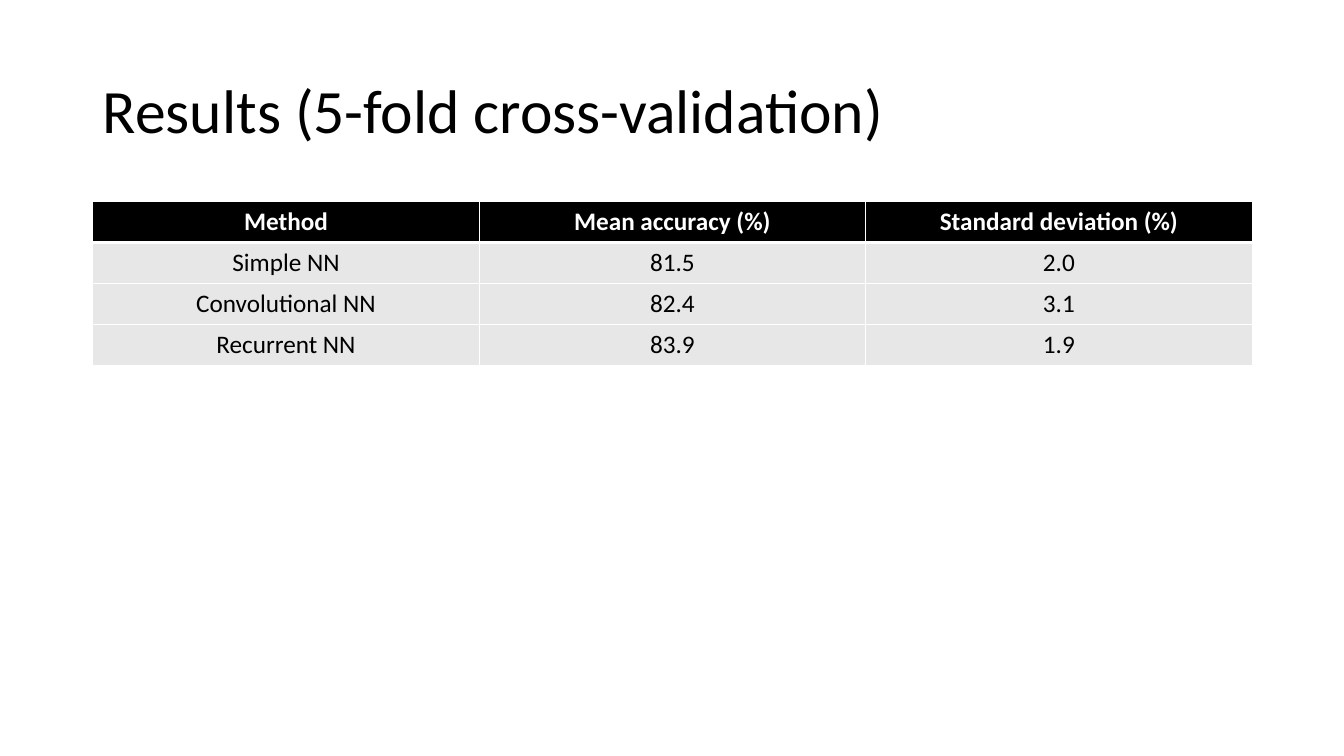
from lxml.etree import SubElement
from pptx import Presentation
from pptx.dml.color import RGBColor
from pptx.enum.text import MSO_ANCHOR, MSO_AUTO_SIZE, PP_ALIGN
from pptx.oxml.ns import qn
from pptx.util import Inches, Pt

TITLE = "Results (5-fold cross-validation)"
RESULTS = [
    ("Method", "Mean accuracy (%)", "Standard deviation (%)"),
    ("Simple NN", "81.5", "2.0"),
    ("Convolutional NN", "82.4", "3.1"),
    ("Recurrent NN", "83.9", "1.9"),
]
COLORS = {"text": "000000", "header": "000000", "header_text": "FFFFFF",
          "body": "E7E7E7", "border": "FFFFFF"}
FONT = "Calibri"
LEFT, WIDTH = 0.92, 11.5
TITLE_TOP, TITLE_HEIGHT = 0.4, 1.45
TABLE_TOP, TABLE_HEIGHT = 2, 1.62


def format_font(font, color, **values):
    font.name = FONT
    font.color.rgb = RGBColor.from_string(COLORS[color])
    for name, value in values.items():
        setattr(font, name, value)


def add_borders(cell, widths):
    """Draw the cell's edges; widths maps L, R, T, B to points, in that order."""
    tcPr = cell._tc.get_or_add_tcPr()
    for side, width in widths.items():
        ln = SubElement(tcPr, qn(f"a:ln{side}"), w=str(Pt(width)))
        fill = SubElement(ln, qn("a:solidFill"))
        SubElement(fill, qn("a:srgbClr"), val=COLORS["border"])


def add_title(slide):
    title = slide.shapes.title
    title.left, title.top = Inches(LEFT), Inches(TITLE_TOP)
    title.width, title.height = Inches(WIDTH), Inches(TITLE_HEIGHT)
    tf = title.text_frame
    tf.text = TITLE
    tf.auto_size = MSO_AUTO_SIZE.NONE
    tf.vertical_anchor = MSO_ANCHOR.MIDDLE
    p = tf.paragraphs[0]
    p.alignment = PP_ALIGN.LEFT
    p.line_spacing = 0.9
    format_font(p.runs[0].font, "text", size=Pt(44))


def add_results(slide):
    table = slide.shapes.add_table(
        len(RESULTS), len(RESULTS[0]), Inches(LEFT), Inches(TABLE_TOP),
        Inches(WIDTH), Inches(TABLE_HEIGHT)).table
    for i, row in enumerate(RESULTS):
        header = i == 0
        widths = {"L": 1, "R": 1, "T": 3 if i == 1 else 1, "B": 3 if header else 1}
        for j, text in enumerate(row):
            cell = table.cell(i, j)
            cell.text = text
            add_borders(cell, widths)
            cell.fill.solid()
            cell.fill.fore_color.rgb = RGBColor.from_string(
                COLORS["header" if header else "body"])
            p = cell.text_frame.paragraphs[0]
            p.alignment = PP_ALIGN.CENTER
            format_font(p.runs[0].font, "header_text" if header else "text",
                        size=Pt(18), bold=header)


def main():
    prs = Presentation()
    prs.slide_width, prs.slide_height = Inches(13.33), Inches(7.5)
    slide = prs.slides.add_slide(prs.slide_layouts[5])
    add_title(slide)
    add_results(slide)
    prs.save("out.pptx")


if __name__ == "__main__":
    main()
